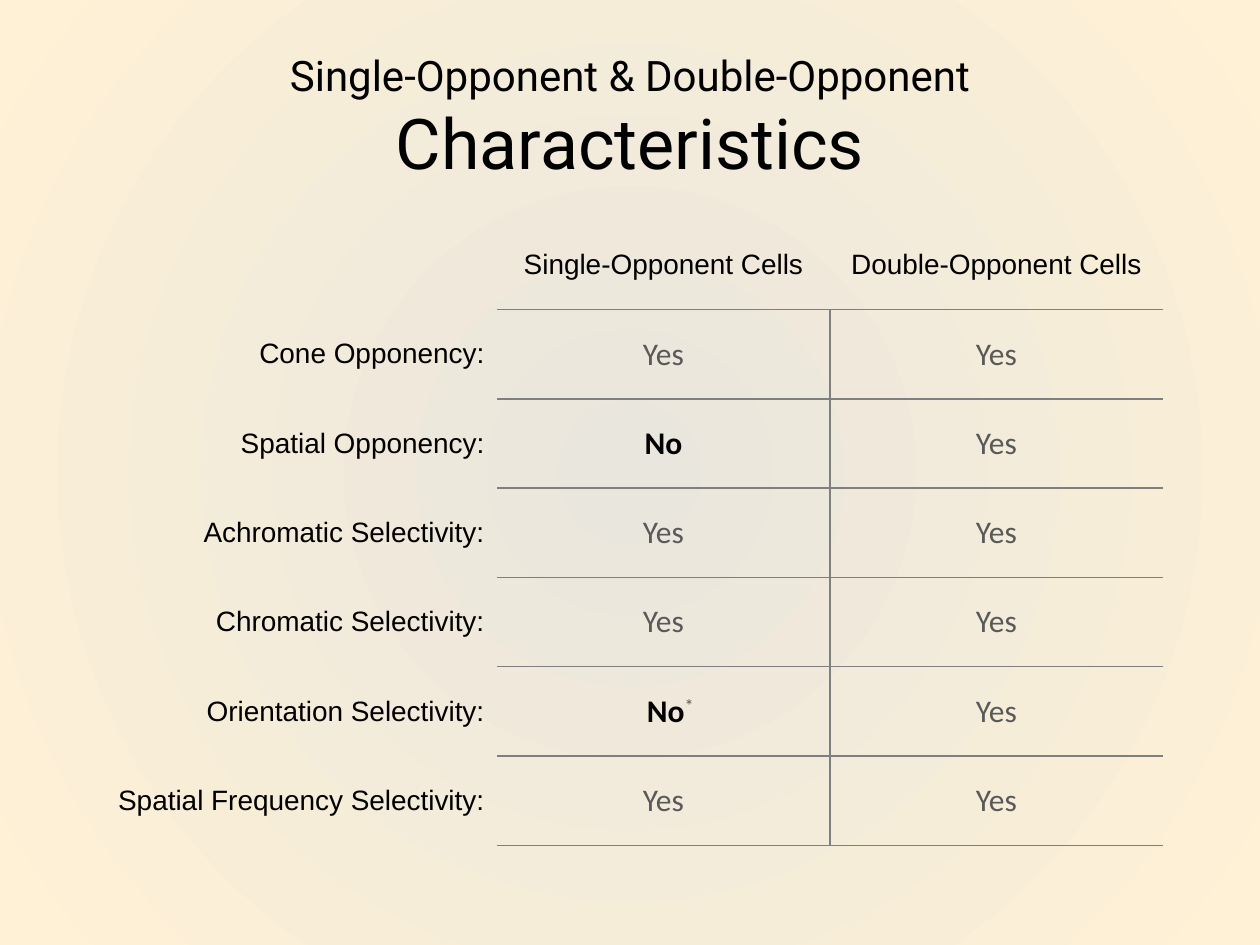
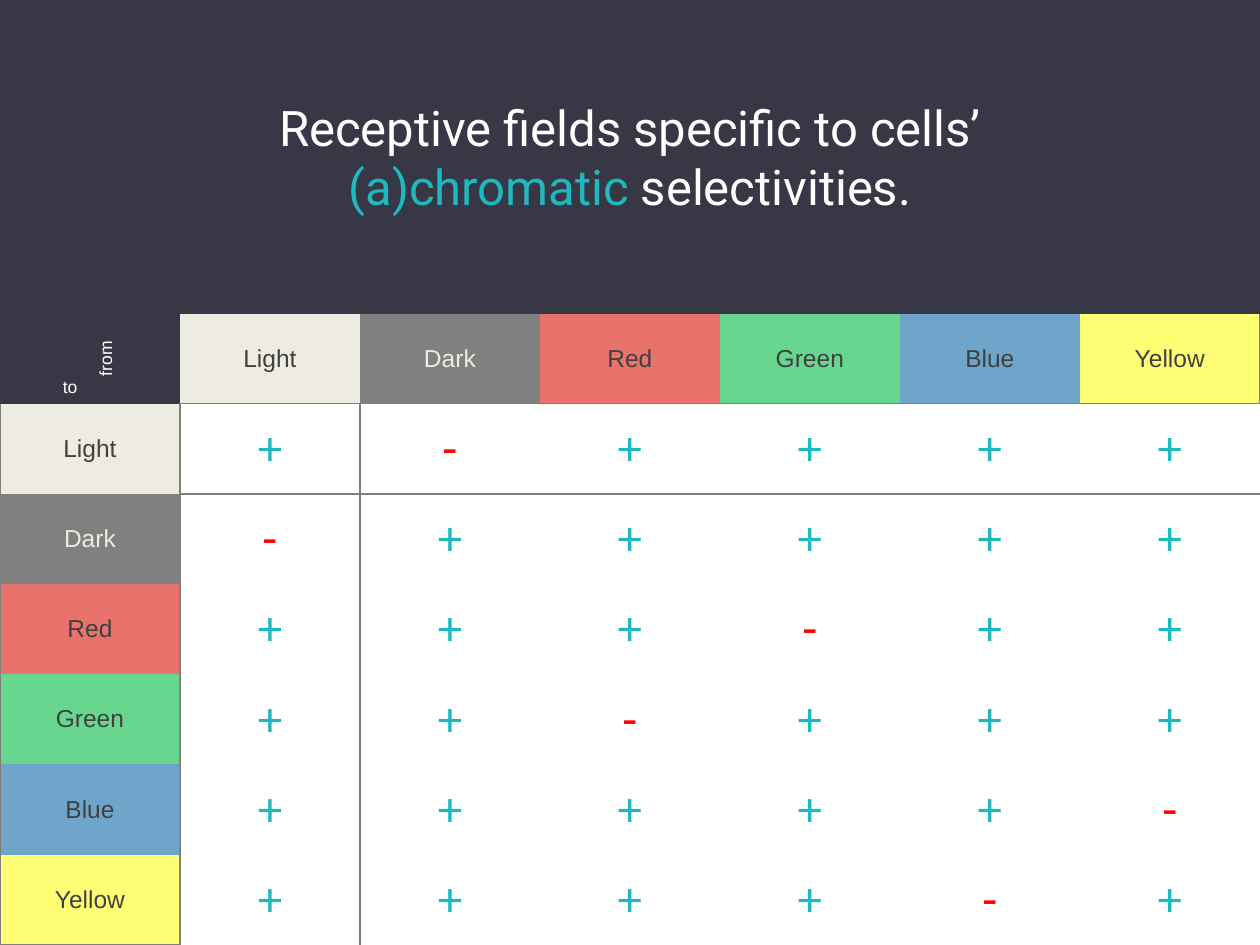
import lxml.etree
import pptx
import pptx.dml.color
import pptx.enum.shapes
import pptx.enum.text
import pptx.oxml.ns
import pptx.util

Cm, Pt = pptx.util.Cm, pptx.util.Pt
ALIGN, ANCHOR = pptx.enum.text.PP_ALIGN, pptx.enum.text.MSO_ANCHOR
qn = pptx.oxml.ns.qn

COLORS = {
    "black": "000000", "white": "FFFFFF", "navy": "373746", "rule": "7F7F7F",
    "muted": "595959", "label": "404040", "plus": "1EB9BE", "minus": "FF0000",
    "glow": "E9E6DD", "cream": "FFF1D6",
    "Light": "EEECE1", "Dark": "808080", "Red": "E9726C",
    "Green": "67D78F", "Blue": "6FA5CA", "Yellow": "FFFF76",
}
SLIDE_WIDTH, SLIDE_HEIGHT = 25.4, 19.05
NO_STYLE = "{2D5ABB26-0587-4C30-8999-92F81FD0307C}"

TITLE = {"name": "Roboto", "size": Pt(28)}
HEADING = {"name": "Arial", "size": Pt(16)}
ANSWER = {"name": "Calibri", "size": Pt(18)}
STRONG = {**ANSWER, "bold": True}
FIELD = {"name": "Arial", "size": Pt(14)}
AXIS = {"name": "Arial", "size": Pt(10)}
SIGN = {"name": "Calibri", "size": Pt(28)}

CHARACTERISTICS = [
    ("Cone Opponency:", "Yes", "Yes"),
    ("Spatial Opponency:", "No", "Yes"),
    ("Achromatic Selectivity:", "Yes", "Yes"),
    ("Chromatic Selectivity:", "Yes", "Yes"),
    ("Orientation Selectivity:", "No*", "Yes"),
    ("Spatial Frequency Selectivity:", "Yes", "Yes"),
]
OPPONENT_PAIRS = [("Light", "Dark"), ("Red", "Green"), ("Blue", "Yellow")]


def rgb(color):
    return pptx.dml.color.RGBColor.from_string(COLORS[color])


def add_run(paragraph, text, font_format, color):
    run = paragraph.add_run()
    run.text = text
    for attribute, value in font_format.items():
        setattr(run.font, attribute, value)
    run.font.color.rgb = rgb(color)
    return run


def fill_title(frame, lines):
    """Write centred lines, each a list of (text, format, color)."""
    frame.word_wrap = True
    frame.vertical_anchor = ANCHOR.MIDDLE
    for number, line in enumerate(lines):
        paragraph = frame.add_paragraph() if number else frame.paragraphs[0]
        paragraph.alignment = ALIGN.CENTER
        for text, font_format, color in line:
            add_run(paragraph, text, font_format, color)


def add_plain_table(slide, left, top, widths, row_height, row_count):
    frame = slide.shapes.add_table(
        row_count, len(widths), Cm(left), Cm(top),
        Cm(sum(widths)), Cm(row_height * row_count))
    table = frame.table
    table.first_row = table.horz_banding = False
    table._tbl.tblPr.find(qn("a:tableStyleId")).text = NO_STYLE
    for column, width in zip(table.columns, widths):
        column.width = Cm(width)
    for row in table.rows:
        row.height = Cm(row_height)
    for cell in table.iter_cells():
        cell.fill.background()
    return table


def fill_cell(cell, text, font_format, color, fill=None,
              align=ALIGN.CENTER, anchor=ANCHOR.MIDDLE):
    cell.vertical_anchor = anchor
    paragraph = cell.text_frame.paragraphs[0]
    paragraph.alignment = align
    add_run(paragraph, text, font_format, color)
    if fill:
        cell.fill.solid()
        cell.fill.fore_color.rgb = rgb(fill)
    return paragraph


def rule_cell(cell, sides):
    """Draw thin grey borders on the sides named by letters of LRTB."""
    properties = cell._tc.get_or_add_tcPr()
    ordered = [side for side in "LRTB" if side in sides]
    for position, side in enumerate(ordered):
        border = lxml.etree.Element(qn("a:ln" + side), w=str(Pt(1)))
        solid = lxml.etree.SubElement(border, qn("a:solidFill"))
        lxml.etree.SubElement(solid, qn("a:srgbClr"), val=COLORS["rule"])
        properties.insert(position, border)


def set_radial_background(slide, center, edge):
    fill = slide.background.fill
    fill.gradient()
    for stop, color in zip(fill.gradient_stops, (center, edge)):
        stop.color.rgb = rgb(color)
    gradient = slide._element.find(".//" + qn("a:gradFill"))
    linear = gradient.find(qn("a:lin"))
    circle = lxml.etree.Element(qn("a:path"), path="circle")
    lxml.etree.SubElement(circle, qn("a:fillToRect"),
                          l="50000", t="50000", r="50000", b="50000")
    gradient.replace(linear, circle)


def build_characteristics(slide):
    set_radial_background(slide, "glow", "cream")
    title = slide.shapes.add_textbox(Cm(1.27), Cm(0.76), Cm(22.86), Cm(3.18))
    fill_title(title.text_frame, [
        [("Single-Opponent & Double-Opponent", {**TITLE, "size": Pt(24)}, "black")],
        [("Characteristics", {**TITLE, "size": Pt(40)}, "black")],
    ])

    table = add_plain_table(slide, 1.96, 4.44, [8.06, 6.71, 6.71], 1.8,
                            len(CHARACTERISTICS) + 1)
    # Column headings
    for column, heading in enumerate(
            ("Single-Opponent Cells", "Double-Opponent Cells"), start=1):
        fill_cell(table.cell(0, column), heading, HEADING, "black")
        rule_cell(table.cell(0, column), "B")

    # Characteristics and answers
    for row, (characteristic, *answers) in enumerate(CHARACTERISTICS, start=1):
        fill_cell(table.cell(row, 0), characteristic, HEADING, "black",
                  align=ALIGN.RIGHT)
        for column, answer in enumerate(answers, start=1):
            cell = table.cell(row, column)
            word = answer.rstrip("*")
            font_format, color = ((STRONG, "black") if word == "No"
                                  else (ANSWER, "muted"))
            paragraph = fill_cell(cell, word, font_format, color)
            if answer != word:
                asterisk = add_run(paragraph, "*", ANSWER, "muted")
                asterisk._r.get_or_add_rPr().set("baseline", "30000")
                cell.margin_left = Cm(0.53)
            rule_cell(cell, "RTB" if column == 1 else "LTB")


def build_selectivities(slide):
    fields = [field for pair in OPPONENT_PAIRS for field in pair]
    opponents = {frozenset(pair) for pair in OPPONENT_PAIRS}
    band_height = 6.32
    column_width = SLIDE_WIDTH / 7
    row_height = (SLIDE_HEIGHT - band_height) / 7
    widths = [column_width / 2] * 2 + [column_width] * len(fields)
    table = add_plain_table(slide, 0, band_height, widths, row_height,
                            len(fields) + 1)

    # Corner with the two axis names
    fill_cell(table.cell(0, 0), "to", AXIS, "white", "navy",
              ALIGN.RIGHT, ANCHOR.BOTTOM)
    fill_cell(table.cell(0, 1), "from", AXIS, "white", "navy",
              anchor=ANCHOR.BOTTOM)
    table.cell(0, 1)._tc.get_or_add_tcPr().set("vert", "vert270")

    # Field names along both axes
    for number, field in enumerate(fields, start=1):
        last = number == len(fields)
        color = "Light" if field == "Dark" else "label"
        top_cell, side_cell = table.cell(0, number + 1), table.cell(number, 0)
        side_cell.merge(table.cell(number, 1))
        for cell in (top_cell, side_cell):
            fill_cell(cell, field, FIELD, color, field)
        rule_cell(top_cell, "TBR" if last else "TB")
        rule_cell(side_cell, "LRB" if last else "LR")

    # Opposing fields get a minus, all others a plus
    for row, target in enumerate(fields, start=1):
        for column, origin in enumerate(fields, start=2):
            cell = table.cell(row, column)
            opposed = frozenset((target, origin)) in opponents
            sign, color = ("-", "minus") if opposed else ("+", "plus")
            fill_cell(cell, sign, SIGN, color)
            rule_cell(cell, ("TB" if row == 1 else "")
                      + ("LR" if column == 2 else ""))

    # Title band
    band = slide.shapes.add_shape(
        pptx.enum.shapes.MSO_SHAPE.RECTANGLE, 0, 0,
        Cm(SLIDE_WIDTH), Cm(band_height))
    band.shadow.inherit = False
    band.fill.solid()
    band.fill.fore_color.rgb = band.line.color.rgb = rgb("navy")
    band.line.width = Pt(0.75)
    fill_title(band.text_frame, [
        [("Receptive fields specific to cells’", TITLE, "white")],
        [("(a)chromatic ", TITLE, "plus"), ("selectivities.", TITLE, "white")],
    ])


def main():
    deck = pptx.Presentation()
    deck.slide_width, deck.slide_height = Cm(SLIDE_WIDTH), Cm(SLIDE_HEIGHT)
    blank = deck.slide_layouts[6]
    for build in (build_characteristics, build_selectivities):
        build(deck.slides.add_slide(blank))
    deck.save("out.pptx")


if __name__ == "__main__":
    main()
